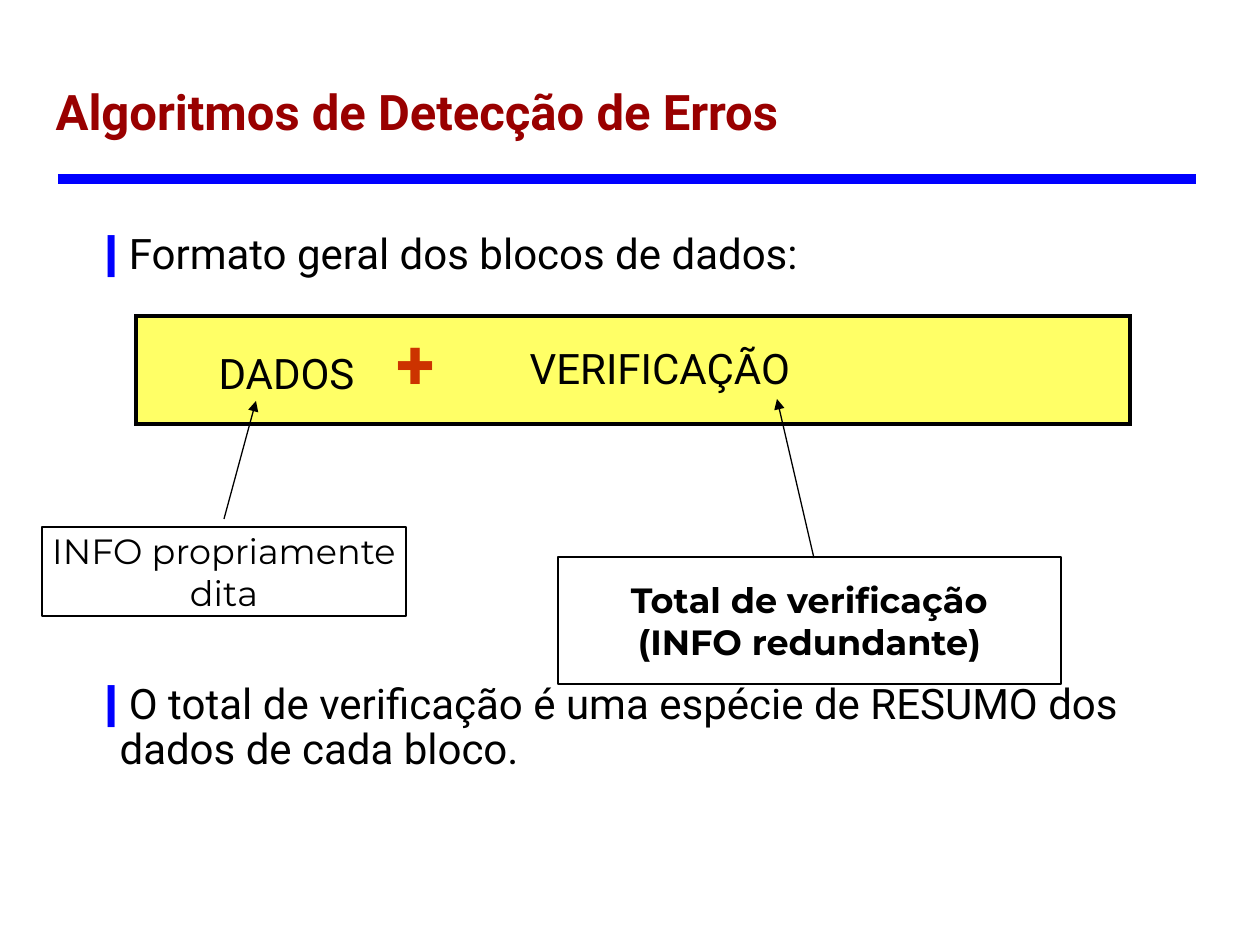
from typing import NamedTuple

from lxml.etree import SubElement
from pptx import Presentation
from pptx.dml.color import RGBColor
from pptx.enum.shapes import MSO_CONNECTOR, MSO_SHAPE
from pptx.enum.text import MSO_ANCHOR as ANCHOR, MSO_AUTO_SIZE as AUTO, PP_ALIGN as ALIGN
from pptx.oxml.ns import qn
from pptx.util import Emu, Inches, Pt

PX = Inches(1) // 126
COLORS = {"title": "990000", "rule": "0000FF", "text": "000000",
          "plus": "CC3300", "cell": "FFFF66"}
BODY_FONT, NOTE_FONT = "Roboto", "Montserrat"
INDENT = 26


class Box(NamedTuple):
    x: int
    y: int
    w: int
    h: int


class Line(NamedTuple):
    x1: int
    y1: int
    x2: int
    y2: int
    width: float = 0.75
    color: str = "text"
    arrow: bool = True


class Note(NamedTuple):
    box: Box
    lines: tuple[str, ...]
    bold: bool
    pointer: Line


class Bullet(NamedTuple):
    idx: int
    box: Box
    text: str


TITLE_BOX = Box(43, 82, 1189, 66)
TABLE_BOX = Box(136, 316, 994, 108)
COLUMNS = (355, 639)
TITLE_RULE = Line(58, 179, 1196, 179, 6, "rule", False)
BULLETS = (
    Bullet(1, Box(81, 227, 1050, 60), "Formato geral dos blocos de dados:"),
    Bullet(2, Box(81, 677, 1050, 106),
           "O total de verificação é uma espécie de RESUMO dos dados de cada bloco."),
)
NOTES = (
    Note(Box(42, 527, 364, 89), ("INFO propriamente", "dita"), False,
         Line(224, 519, 256, 401)),
    Note(Box(558, 557, 503, 127), ("Total de verificação", "(INFO redundante)"), True,
         Line(814, 558, 777, 399)),
)


def px(n: int) -> Emu:
    return Emu(n * PX)


def rgb(name: str) -> RGBColor:
    return RGBColor.from_string(COLORS[name])


def style(r, size: float, color: str = "text", bold: bool = False,
          font: str = BODY_FONT) -> None:
    r.font.name, r.font.size, r.font.bold = font, Pt(size), bold
    r.font.color.rgb = rgb(color)


def place(sp, box: Box) -> None:
    sp.left, sp.top, sp.width, sp.height = map(px, box)


def fill_placeholder(sp, box: Box, text: str):
    """Move a placeholder, set its text and return its paragraph."""
    place(sp, box)
    tf = sp.text_frame
    tf.text = text
    tf.word_wrap, tf.auto_size = True, AUTO.NONE
    tf.vertical_anchor = ANCHOR.TOP
    p = tf.paragraphs[0]
    p.alignment, p.line_spacing, p.space_before = ALIGN.JUSTIFY, 0.9, Pt(0)
    return p


def draw_bullet(slide, bullet: Bullet) -> None:
    p = fill_placeholder(slide.placeholders[bullet.idx], bullet.box, bullet.text)
    pPr = p._p.get_or_add_pPr()
    pPr.set("marL", str(px(INDENT)))
    pPr.set("indent", str(-px(INDENT)))
    SubElement(SubElement(pPr, qn("a:buClr")), qn("a:srgbClr"), val=COLORS["rule"])
    SubElement(pPr, qn("a:buChar"), char="❙")
    style(p.runs[0], 24)


def draw_line(slide, line: Line) -> None:
    cx = slide.shapes.add_connector(MSO_CONNECTOR.STRAIGHT, px(line.x1), px(line.y1),
                                    px(line.x2), px(line.y2))
    cx.line.width = Pt(line.width)
    cx.line.color.rgb = rgb(line.color)
    if line.arrow:
        SubElement(cx.line._get_or_add_ln(), qn("a:tailEnd"), type="triangle")
    SubElement(cx._element.spPr, qn("a:effectLst"))


def draw_note(slide, note: Note) -> None:
    draw_line(slide, note.pointer)
    sp = slide.shapes.add_shape(MSO_SHAPE.RECTANGLE, *map(px, note.box))
    sp.shadow.inherit = False
    sp.fill.background()
    sp.line.color.rgb, sp.line.width = rgb("text"), Pt(0.75)
    tf = sp.text_frame
    tf.text = "\n".join(note.lines)
    tf.word_wrap, tf.vertical_anchor = False, ANCHOR.MIDDLE
    for p in tf.paragraphs:
        p.alignment = ALIGN.CENTER
        style(p.runs[0], 20, bold=note.bold, font=NOTE_FONT)


def format_cell(cell, open_side: str) -> None:
    """Border every side but the one facing the other cell, then fill."""
    tcPr = cell._tc.get_or_add_tcPr()
    for side in ("lnL", "lnR", "lnT", "lnB"):
        ln = SubElement(tcPr, qn(f"a:{side}"), w=str(Pt(2.2)))
        if side == open_side:
            SubElement(ln, qn("a:noFill"))
        else:
            fill = SubElement(ln, qn("a:solidFill"))
            SubElement(fill, qn("a:srgbClr"), val=COLORS["text"])
    cell.fill.solid()
    cell.fill.fore_color.rgb = rgb("cell")
    cell.vertical_anchor = ANCHOR.MIDDLE
    cell.text_frame.paragraphs[0]._p.get_or_add_pPr().set("marL", str(px(INDENT)))


def draw_block_table(slide) -> None:
    table = slide.shapes.add_table(1, 2, *map(px, TABLE_BOX)).table
    table.first_row = table.horz_banding = False
    for column, width in zip(table.columns, COLUMNS):
        column.width = px(width)
    data, check = table.cell(0, 0), table.cell(0, 1)
    format_cell(data, "lnR")
    format_cell(check, "lnL")

    p = data.text_frame.paragraphs[0]
    p.alignment, p.line_spacing = ALIGN.CENTER, 0.8
    for text, size, color, bold in (("DADOS", 24, "text", False),
                                    (" ", 24, "text", False),
                                    ("+", 40, "plus", True)):
        r = p.add_run()
        r.text = text
        style(r, size, color, bold)
    # One widely tracked space separates the label from the plus sign
    p.runs[1]._r.get_or_add_rPr().set("spc", "1800")

    r = check.text_frame.paragraphs[0].add_run()
    r.text = "VERIFICAÇÃO"
    style(r, 24)


def main() -> None:
    prs = Presentation()
    prs.slide_width, prs.slide_height = Inches(10), Inches(7.5)
    slide = prs.slides.add_slide(prs.slide_layouts[3])

    # Title and rule
    draw_line(slide, TITLE_RULE)
    p = fill_placeholder(slide.shapes.title, TITLE_BOX, "Algoritmos de Detecção de Erros")
    style(p.runs[0], 28, "title", True)

    # Bullets, data block and its notes
    for bullet in BULLETS:
        draw_bullet(slide, bullet)
    draw_block_table(slide)
    for note in NOTES:
        draw_note(slide, note)

    prs.save("out.pptx")


if __name__ == "__main__":
    main()
